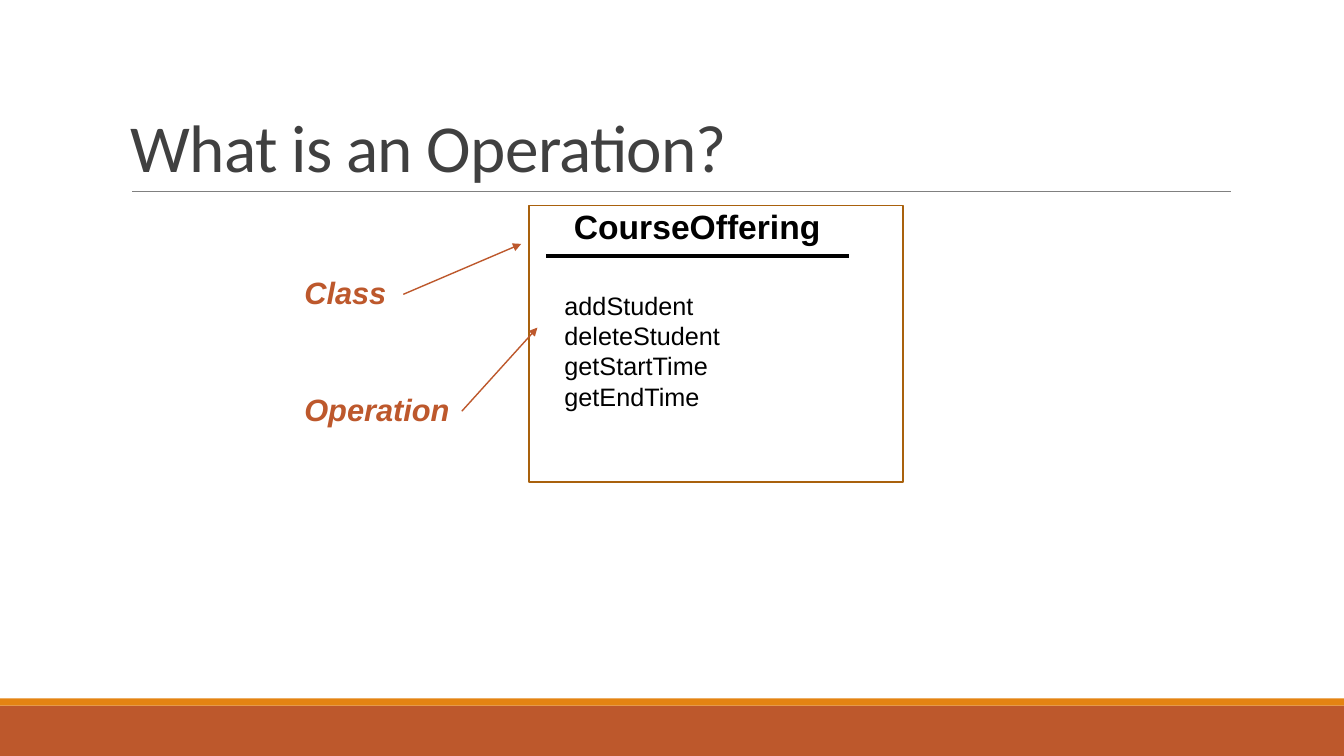
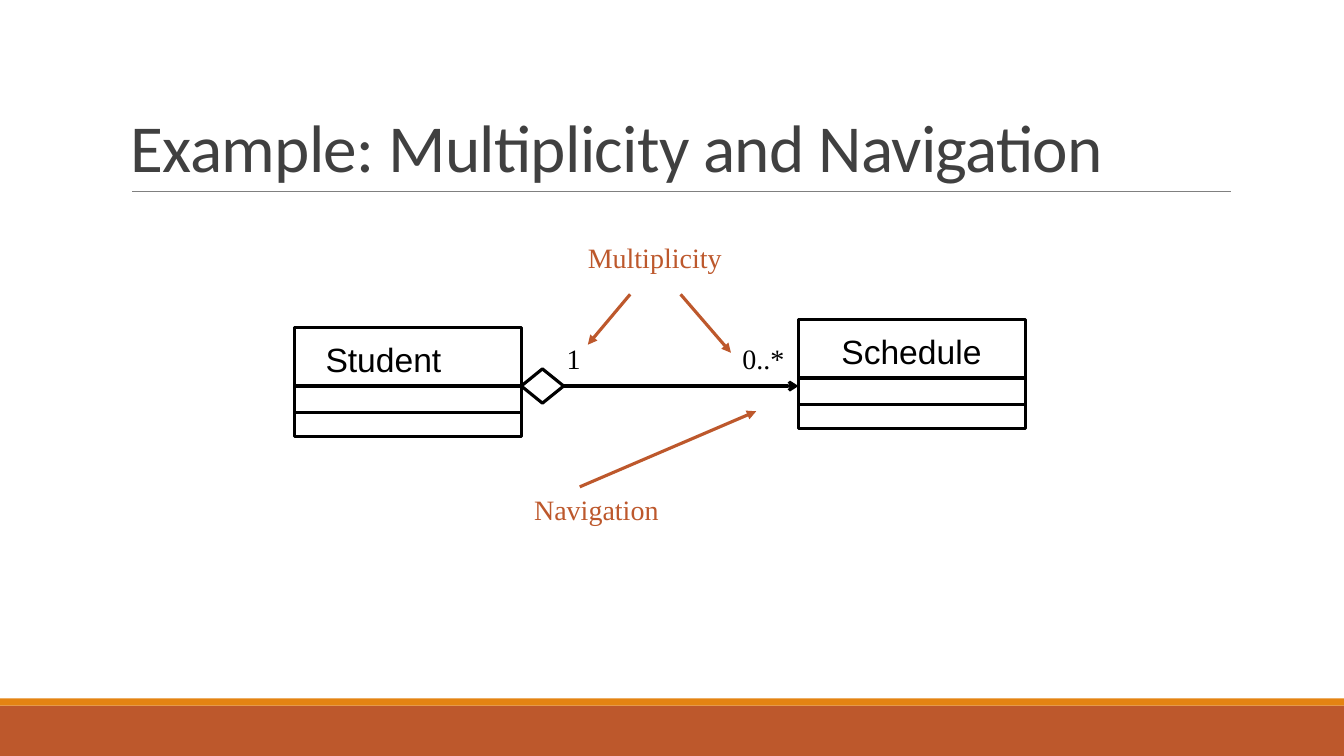
import pptx
import pptx.dml.color
import pptx.enum.shapes
import pptx.enum.text
import pptx.oxml.ns
import pptx.util
from dataclasses import dataclass
from lxml import etree

Inches = pptx.util.Inches
Pt = pptx.util.Pt
SHAPE = pptx.enum.shapes.MSO_SHAPE
ALIGN = pptx.enum.text.PP_ALIGN
ANCHOR = pptx.enum.text.MSO_ANCHOR
qn = pptx.oxml.ns.qn


def color(code):
    return pptx.dml.color.RGBColor.from_string(code)


@dataclass(frozen=True)
class Theme:
    width: float = 13.33
    height: float = 7.5
    rust: str = "BD582C"
    orange: str = "E48312"
    brown: str = "A9610D"
    gray: str = "808080"
    title_ink: str = "404040"
    ink: str = "000000"
    title_font: str = "Calibri"
    body_font: str = "Arial"
    note_font: str = "Times New Roman"
    title_size: int = 48
    name_size: int = 24
    callout_size: int = 22
    note_size: int = 20
    member_size: int = 18
    hairline: float = 0.5
    thin: float = 1
    frame: float = 1.25
    thick: float = 2.25


class Deck:
    """Holds the theme and the slide being drawn."""

    def __init__(self, theme):
        self.theme = theme
        self.show = pptx.Presentation()
        self.show.slide_width = Inches(theme.width)
        self.show.slide_height = Inches(theme.height)
        self.slide = None

    def new_slide(self, title):
        t = self.theme
        self.slide = self.show.slides.add_slide(self.show.slide_layouts[6])
        # Footer bands and title rule
        self.shape(0, 7, t.width, 0.5, fill=t.rust)
        self.shape(0, 6.93, t.width, 0.07, fill=t.orange)
        self.line((1.31, 1.9), (12.21, 1.9), t.gray, t.hairline)
        # Title
        heading = self.text(1.2, 0.31, 11, 1.59, title, t.title_size, t.title_font,
                            t.title_ink, anchor=ANCHOR.BOTTOM)
        paragraph = heading.text_frame.paragraphs[0]
        paragraph.line_spacing = 0.85
        paragraph.runs[0].font._element.set("spc", "-50")

    def shape(self, x, y, w, h, kind=SHAPE.RECTANGLE, fill=None, line=None, weight=1):
        item = self.slide.shapes.add_shape(kind, Inches(x), Inches(y), Inches(w), Inches(h))
        item.shadow.inherit = False
        if fill:
            item.fill.solid()
            item.fill.fore_color.rgb = color(fill)
        else:
            item.fill.background()
        if line:
            item.line.color.rgb = color(line)
            item.line.width = Pt(weight)
        else:
            item.line.fill.background()
        return item

    def line(self, start, end, ink, weight, head=None):
        points = [Inches(v) for v in (*start, *end)]
        item = self.slide.shapes.add_connector(
            pptx.enum.shapes.MSO_CONNECTOR.STRAIGHT, *points)
        item.line.color.rgb = color(ink)
        item.line.width = Pt(weight)
        if head:
            etree.SubElement(item.line._get_or_add_ln(), qn("a:tailEnd"), type=head)
        etree.SubElement(item._element.spPr, qn("a:effectLst"))
        return item

    def text(self, x, y, w, h, words, size, font, ink, align=ALIGN.LEFT,
             anchor=ANCHOR.TOP, margins=(0.1, 0.05), wrap=True, bold=False, italic=False):
        box = self.slide.shapes.add_textbox(Inches(x), Inches(y), Inches(w), Inches(h))
        side, edge = (Inches(m) for m in margins)
        frame_format = dict(word_wrap=wrap, vertical_anchor=anchor, margin_left=side,
                            margin_right=side, margin_top=edge, margin_bottom=edge)
        for name, value in frame_format.items():
            setattr(box.text_frame, name, value)
        box.text_frame.text = words
        font_format = dict(size=Pt(size), name=font, bold=bold, italic=italic)
        for paragraph in box.text_frame.paragraphs:
            paragraph.alignment = align
            for run in paragraph.runs:
                for name, value in font_format.items():
                    setattr(run.font, name, value)
                run.font.color.rgb = color(ink)
        return box

    def callout(self, y, words):
        t = self.theme
        self.text(2.92, y, 2.58, 0.47, words, t.callout_size, t.body_font, t.rust,
                  bold=True, italic=True)

    def note(self, x, y, w, words, ink, align=ALIGN.CENTER):
        t = self.theme
        self.text(x, y, w, 0.45, words, t.note_size, t.note_font, ink, align,
                  margins=(0.12, 0.06))

    def class_box(self, x, y, name, align):
        t = self.theme
        w = 2.25
        self.shape(x, y, w, 1.08, line=t.ink, weight=t.thick)
        self.text(x + 0.21, y + 0.06, 1.82, 0.5, name, t.name_size, t.body_font,
                  t.ink, align)
        for drop in (0.58, 0.84):
            self.line((x, y + drop), (x + w, y + drop), t.ink, t.thick)


def operation_slide(deck):
    t = deck.theme
    deck.new_slide("What is an Operation?")
    # Class with its operations
    deck.shape(5.25, 2.04, 3.71, 2.74, line=t.brown, weight=t.frame)
    deck.text(5.68, 2.04, 2.47, 0.4, "CourseOffering", t.name_size, t.body_font, t.ink,
              ALIGN.CENTER, margins=(0, 0), wrap=False, bold=True)
    deck.line((5.42, 2.54), (8.42, 2.54), t.ink, t.thick)
    operations = ["addStudent", "deleteStudent", "getStartTime", "getEndTime"]
    deck.text(5.5, 2.83, 2.61, 1.31, "\n".join(operations), t.member_size,
              t.body_font, t.ink)
    # Callouts
    for y, words, start, end in [(2.67, "Class", (4, 2.92), (5.17, 2.42)),
                                 (3.83, "Operation", (4.58, 4.08), (5.33, 3.25))]:
        deck.callout(y, words)
        deck.line(start, end, t.rust, t.thin, "triangle")


def multiplicity_slide(deck):
    t = deck.theme
    deck.new_slide("Example: Multiplicity and Navigation")
    # Classes
    deck.class_box(2.92, 3.25, "Student", ALIGN.LEFT)
    deck.class_box(7.92, 3.17, "Schedule", ALIGN.CENTER)
    # Aggregation from Student to Schedule
    aggregation = deck.line((5.59, 3.83), (7.92, 3.83), t.ink, t.thick, "arrow")
    diamond = deck.shape(5.17, 3.66, 0.42, 0.34, SHAPE.DIAMOND, line=t.ink, weight=t.thick)
    aggregation.begin_connect(diamond, 3)
    deck.note(5.5, 3.33, 1.73, "1", t.ink, ALIGN.LEFT)
    deck.note(6.17, 3.33, 1.73, "0..*", t.ink, ALIGN.RIGHT)
    # Explanations
    deck.note(4.58, 2.33, 3.83, "Multiplicity", t.rust)
    deck.note(4, 4.83, 3.83, "Navigation", t.rust)
    for start, end in [((6.75, 2.92), (7.25, 3.5)),
                       ((6.25, 2.92), (5.83, 3.42)),
                       ((5.75, 4.83), (7.5, 4.08))]:
        deck.line(start, end, t.rust, t.thick, "triangle")


def main():
    deck = Deck(Theme())
    operation_slide(deck)
    multiplicity_slide(deck)
    deck.show.save("out.pptx")


if __name__ == "__main__":
    main()
